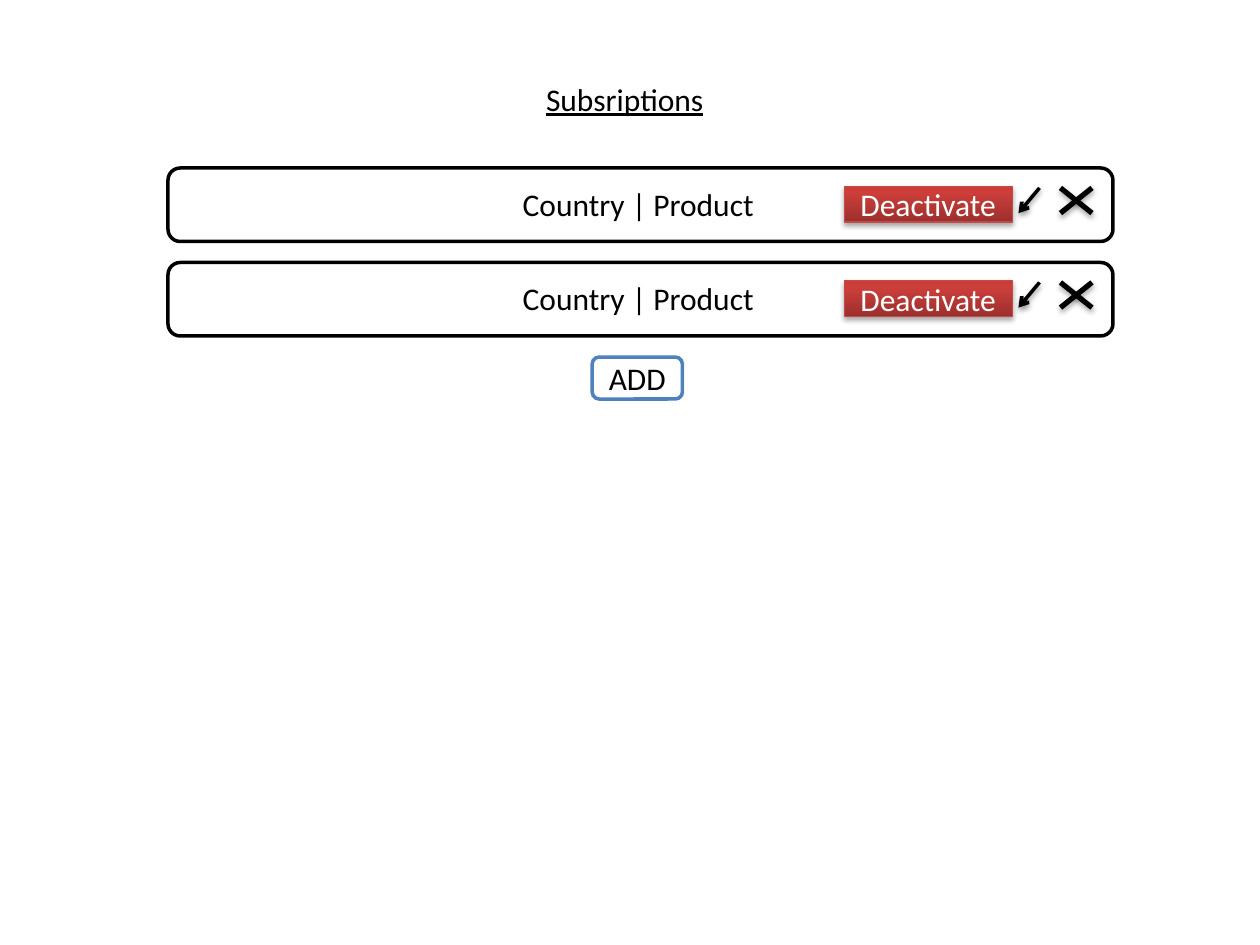
from copy import deepcopy

from lxml.etree import SubElement
from pptx import Presentation
from pptx.dml.color import RGBColor as RGB
from pptx.enum.shapes import MSO_CONNECTOR as Connector, MSO_SHAPE as Shape
from pptx.enum.text import MSO_ANCHOR as Anchor, MSO_AUTO_SIZE as AutoSize, PP_ALIGN as Align
from pptx.oxml.ns import qn
from pptx.util import Inches, Pt

THEME = {
    "font": "Calibri",
    "size": Pt(18),
    "ink": RGB.from_string("000000"),
    "paper": RGB.from_string("FFFFFF"),
    "accent": RGB.from_string("4F81BD"),
    "button_line": RGB.from_string("BF4C48"),
    "button_stops": [(0, "9C2F2D"), (0.8, "CB3E3A"), (1, "CE3B37")],
}

presentation = Presentation()
presentation.slide_width, presentation.slide_height = Inches(10), Inches(7.5)
UNIT = presentation.slide_width / 120  # the slide is a grid of 120 columns by 90 rows
slide = presentation.slides.add_slide(presentation.slide_layouts[5])


def grid(*cells):
    return [round(cell * UNIT) for cell in cells]


def write(shape, text, color, frame_format, **font_format):
    """Put one formatted line of text in a shape."""
    frame = shape.text_frame
    frame.text = text
    for name, value in frame_format.items():
        setattr(frame, name, value)
    font = frame.paragraphs[0].runs[0].font
    for name, value in {"name": THEME["font"], "size": THEME["size"], **font_format}.items():
        setattr(font, name, value)
    font.color.rgb = color


LABEL = {"word_wrap": False, "auto_size": AutoSize.SHAPE_TO_FIT_TEXT, "vertical_anchor": Anchor.TOP}
CENTRED = {"word_wrap": True, "vertical_anchor": Anchor.MIDDLE}

title = slide.shapes.title
title.left, title.top, title.width, title.height = grid(50.8, 7, 17.6, 4.8)
write(title, "Subsriptions", THEME["ink"], LABEL, underline=True)
title.text_frame.paragraphs[0].alignment = Align.LEFT

# Subscription cards: left, right of each icon stroke, width, arrowhead, shadow opacity
cross_strokes = [(101, 104, 3, False, 35), (104, 101, 3, False, 35)]
edit_stroke = (99, 97, 2, True, 38)

for top in (16, 25):
    card = slide.shapes.add_shape(Shape.ROUNDED_RECTANGLE, *grid(16, top, 90, 7))
    button = slide.shapes.add_shape(Shape.RECTANGLE, *grid(80.4, top + 1.75, 16, 3.4))
    for shape, line_color, width in ((card, THEME["ink"], 2), (button, THEME["button_line"], 0.75)):
        shape.shadow.inherit = False
        shape.line.color.rgb = line_color
        shape.line.width = Pt(width)
    card.fill.solid()
    card.fill.fore_color.rgb = THEME["paper"]

    button.fill.gradient()
    button.fill.gradient_angle = 90
    stop_list = button._element.spPr.find(".//" + qn("a:gsLst"))
    stop_list.append(deepcopy(stop_list[-1]))
    for stop, (position, color) in zip(button.fill.gradient_stops, THEME["button_stops"]):
        stop.position = position
        stop.color.rgb = RGB.from_string(color)
    write(button, "Deactivate", THEME["paper"], CENTRED)
    button.text_frame.paragraphs[0].alignment = Align.CENTER
    shadowed = [(button._element.spPr.find(qn("a:effectLst")), 35)]

    label = slide.shapes.add_textbox(*grid(48.6, top + 1, 25.3, 4.8))
    write(label, "Country | Product", THEME["ink"], LABEL)

    for start, end, width, has_arrow, opacity in [*cross_strokes, edit_stroke]:
        stroke = slide.shapes.add_connector(
            Connector.STRAIGHT, *grid(start, top + 1.9, end, top + 4.3))
        stroke.line.color.rgb = THEME["ink"]
        stroke.line.width = Pt(width)
        properties = stroke._element.spPr
        if has_arrow:
            SubElement(properties.find(qn("a:ln")), qn("a:tailEnd"), type="arrow")
        shadowed.append((SubElement(properties, qn("a:effectLst")), opacity))

    for effects, opacity in shadowed:
        shadow = SubElement(effects, qn("a:outerShdw"), blurRad=str(Pt(3.1)), dist=str(Pt(1.8)),
                            dir="5400000", rotWithShape="0")
        shadow_color = SubElement(shadow, qn("a:srgbClr"), val=str(THEME["ink"]))
        SubElement(shadow_color, qn("a:alpha"), val=str(opacity * 1000))

add_button = slide.shapes.add_shape(Shape.ROUNDED_RECTANGLE, *grid(56.4, 34, 8.6, 4))
add_button.shadow.inherit = False
add_button.fill.solid()
add_button.fill.fore_color.rgb = THEME["paper"]
add_button.line.color.rgb = THEME["accent"]
add_button.line.width = Pt(2)
write(add_button, "ADD", THEME["ink"], CENTRED)
add_button.text_frame.paragraphs[0].alignment = Align.CENTER

presentation.save("out.pptx")
